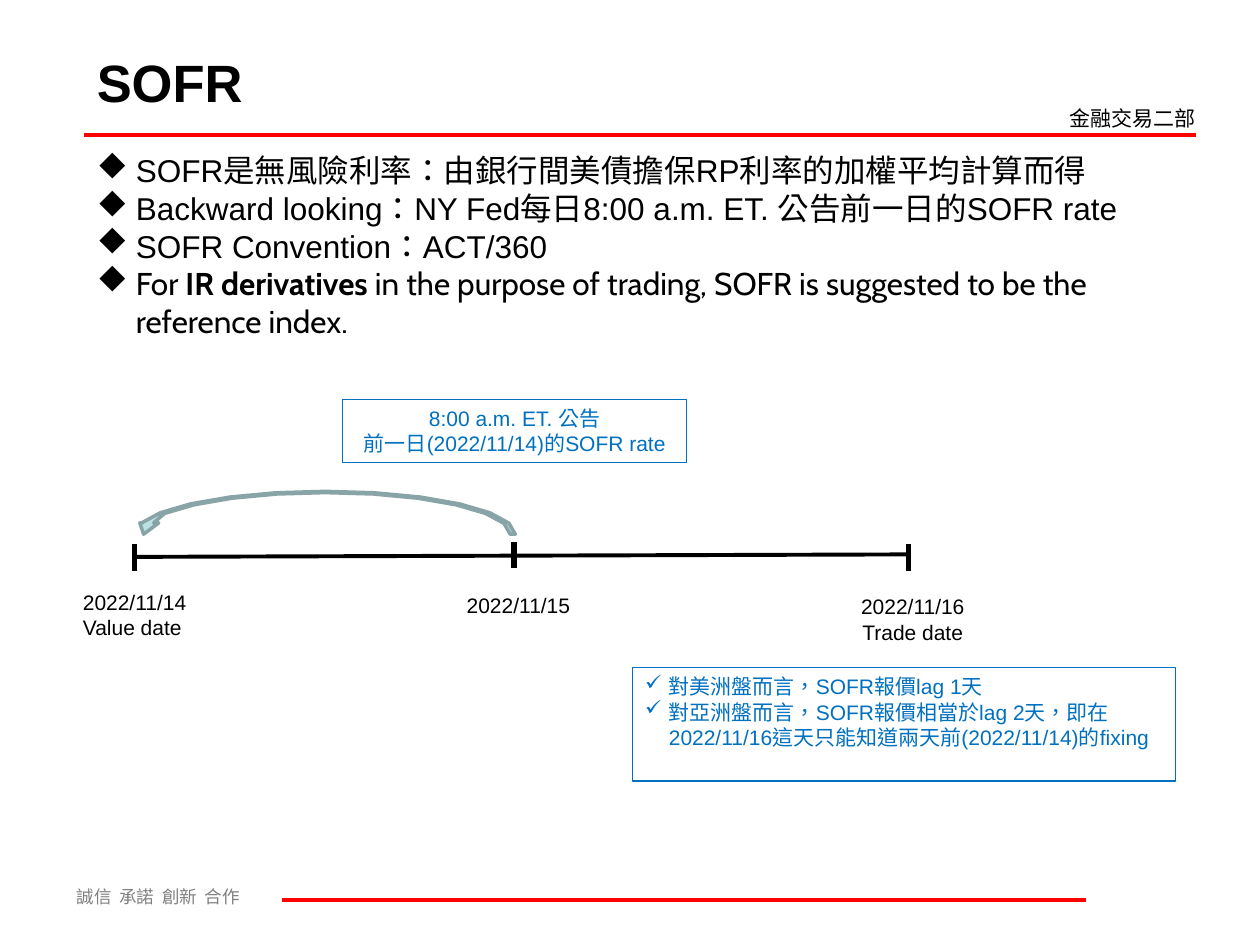
from math import cos, radians, sin

from lxml.etree import SubElement
from pptx import Presentation
from pptx.dml.color import RGBColor
from pptx.enum.lang import MSO_LANGUAGE_ID
from pptx.enum.shapes import MSO_CONNECTOR, MSO_SHAPE
from pptx.enum.text import MSO_ANCHOR, PP_ALIGN
from pptx.oxml.ns import qn
from pptx.util import Inches, Pt

BLACK = RGBColor(0, 0, 0)
GREY = RGBColor(0x80, 0x80, 0x80)
RED = RGBColor(0xFF, 0, 0)
BLUE = RGBColor(0, 0x70, 0xC0)
PALE_TEAL = RGBColor(0xBB, 0xE0, 0xE3)
TEAL = RGBColor(0x89, 0xA4, 0xA7)
CJK = "Noto Sans CJK SC"
DIAMOND, CHECK = "u", "ü"

WIDTH, HEIGHT = Inches(10), Inches(7.5)
COLUMNS, ROWS = 100, 75

TITLE = {"size": Pt(30), "name": "Arial", "bold": True}
BODY = {"size": Pt(18), "name": "Arial"}
CABIN = {"size": Pt(18), "name": "Cabin"}
LABEL = {"size": Pt(12), "name": "Arial"}
DEPARTMENT = {"size": Pt(12), "name": CJK}
MOTTO = {"size": Pt(10), "name": CJK}


def col(count):
    """Return the length of a number of grid columns."""
    return round(WIDTH * count / COLUMNS)


def row(count):
    """Return the length of a number of grid rows."""
    return round(HEIGHT * count / ROWS)


def place(box):
    """Turn a grid box into lengths."""
    left, top, width, height = box
    return col(left), row(top), col(width), row(height)


def write(holder, paragraphs, color=BLACK, bullet=None, indent=0, align=PP_ALIGN.LEFT,
          wrap=True, anchor=MSO_ANCHOR.TOP):
    """Fill a shape with paragraphs, each a list of (text, format) runs."""
    frame = holder.text_frame
    for name, value in {"word_wrap": wrap, "vertical_anchor": anchor}.items():
        setattr(frame, name, value)
    for index, runs in enumerate(paragraphs):
        paragraph = frame.add_paragraph() if index else frame.paragraphs[0]
        paragraph.alignment = align
        if bullet:
            properties = paragraph._p.get_or_add_pPr()
            properties.set("marL", str(col(indent)))
            properties.set("indent", str(-col(indent)))
            SubElement(properties, qn("a:buFont"), typeface="Wingdings", charset="2")
            SubElement(properties, qn("a:buChar"), char=bullet)
        for text, formats in runs:
            run = paragraph.add_run()
            run.text = text
            for name, value in formats.items():
                setattr(run.font, name, value)
            run.font.language_id = MSO_LANGUAGE_ID.TAIWAN_CHINESE \
                if hasattr(MSO_LANGUAGE_ID, "TAIWAN_CHINESE") \
                else MSO_LANGUAGE_ID.TRADITIONAL_CHINESE
            run.font.color.rgb = color
            SubElement(run._r.get_or_add_rPr(), qn("a:ea"), typeface=CJK)


def add_text(slide, box, paragraphs, **options):
    """Add a text box."""
    write(slide.shapes.add_textbox(*place(box)), paragraphs, **options)


def add_line(slide, start, end, color, weight):
    """Draw a straight line between two grid points."""
    rule = slide.shapes.add_connector(
        MSO_CONNECTOR.STRAIGHT, col(start[0]), row(start[1]), col(end[0]), row(end[1]))
    rule.line.color.rgb = color
    rule.line.width = Pt(weight)
    SubElement(rule._element.spPr, qn("a:effectLst"))


def add_callout(slide, box, paragraphs, **options):
    """Add an outlined blue note."""
    note = slide.shapes.add_shape(MSO_SHAPE.RECTANGLE, *place(box))
    note.shadow.inherit = False
    note.fill.background()
    note.line.color.rgb = BLUE
    note.line.width = Pt(0.75)
    write(note, paragraphs, color=BLUE, **options)


def add_header(slide, box):
    """Place the title, the department and the rule below them."""
    left, top, width, height = box
    add_text(slide, (left, top, 90.6, 6.9), [[("SOFR", TITLE)]], anchor=MSO_ANCHOR.MIDDLE)
    add_text(slide, (left + width - 11, top + 4.9, 12.6, 3), [[("金融交易二部", DEPARTMENT)]])
    add_line(slide, (left, top + height), (left + width, top + height), RED, 2.25)


def add_key_points(slide, box):
    """Place the main bullet list."""
    add_text(slide, box, [
        [("SOFR是無風險利率：由銀行間美債擔保RP利率的加權平均計算而得", BODY)],
        [("Backward looking：NY Fed每日8:00 a.m. ET. 公告前一日的SOFR rate", BODY)],
        [("SOFR Convention：ACT/360", BODY)],
        [("For ", CABIN), ("IR derivatives ", {**CABIN, "bold": True}),
         ("in the purpose of trading, SOFR is suggested to be the reference index.", CABIN)],
    ], bullet=DIAMOND, indent=3.1)


def add_lookback_arrow(slide, box):
    """Draw the arched arrow pointing back one day."""
    left, top, width, height = box
    center, base = left + width / 2, top + height

    def arc(angles, radius, rise):
        """Sample an arch at the given angles."""
        return [(center + radius * cos(radians(a)), base - rise * sin(radians(a)))
                for a in angles]

    head = [(left + 0.4, base - 0.9), (left + 0.7, base),
            (left + 1.9, base - 0.9), (left + 1.5, base - 0.9)]
    outline = (arc(range(0, 166, 15), width / 2, height) + head
               + arc(range(150, -1, -15), width / 2 - 0.4, height - 0.1))
    points = [(col(x), row(y)) for x, y in outline]
    builder = slide.shapes.build_freeform(*points[0])
    builder.add_line_segments(points[1:], close=True)
    arrow = builder.convert_to_shape()
    arrow.shadow.inherit = False
    arrow.fill.solid()
    arrow.fill.fore_color.rgb = PALE_TEAL
    arrow.line.color.rgb = TEAL
    arrow.line.width = Pt(2)


def add_timeline(slide, box):
    """Place the axis with its day ticks, labels and arched arrow."""
    left, top, width, height = box
    add_line(slide, (left, top + 5.2), (left + width, top + 5), BLACK, 2.25)
    days = [
        (0, 4.2, -5.1, 7.3, ["2022/11/14", "Value date"], PP_ALIGN.LEFT),
        (30.1, 4, -4.8, 7.5, ["2022/11/15"], PP_ALIGN.CENTER),
        (width, 4.2, -4.8, 7.65, ["2022/11/16", "Trade date"], PP_ALIGN.CENTER),
    ]
    for offset, tick, shift, drop, lines, align in days:
        x = left + offset
        add_line(slide, (x, top + tick), (x, top + tick + 2.1), BLACK, 3)
        add_text(slide, (x + shift, top + drop, 10.3, 1 + 2 * len(lines)),
                 [[(line, LABEL)] for line in lines], align=align, wrap=False)
    add_lookback_arrow(slide, (left, top, 30.2, 3.4))


def add_publication_note(slide, box):
    """Place the note on the publication time."""
    add_callout(slide, box, [
        [("8:00 a.m. ET. 公告", LABEL)],
        [("前一日(2022/11/14)的SOFR rate", LABEL)],
    ], align=PP_ALIGN.CENTER, wrap=False)


def add_lag_note(slide, box):
    """Place the note on the lag of each market."""
    add_callout(slide, box, [
        [("對美洲盤而言，SOFR報價lag 1天", LABEL)],
        [("對亞洲盤而言，SOFR報價相當於lag 2天，即在2022/11/16這天只能知道"
          "兩天前(2022/11/14)的fixing", LABEL)],
    ], bullet=CHECK, indent=1.9)


def add_footer(slide, box):
    """Place the motto and the rule beside it."""
    left, top, width, height = box
    add_text(slide, (left, top, 25.2, height), [[("誠信  承諾  創新  合作", MOTTO)]], color=GREY)
    add_line(slide, (left + 17.3, top + 1.6), (left + width, top + 1.6), RED, 2.25)


def main():
    """Build and save the slide."""
    deck = Presentation()
    deck.slide_width, deck.slide_height = WIDTH, HEIGHT
    slide = deck.slides.add_slide(deck.slide_layouts[6])
    add_header(slide, (6.7, 3, 88.2, 7.7))
    add_key_points(slide, (6.7, 11.5, 84.8, 19))
    add_publication_note(slide, (27.2, 31.7, 27.3, 5))
    add_timeline(slide, (10.7, 39, 61.4, 12.6))
    add_lag_note(slide, (50.2, 53, 43.1, 9))
    add_footer(slide, (5.1, 69.8, 81.1, 2.7))
    deck.save("out.pptx")


if __name__ == "__main__":
    main()
